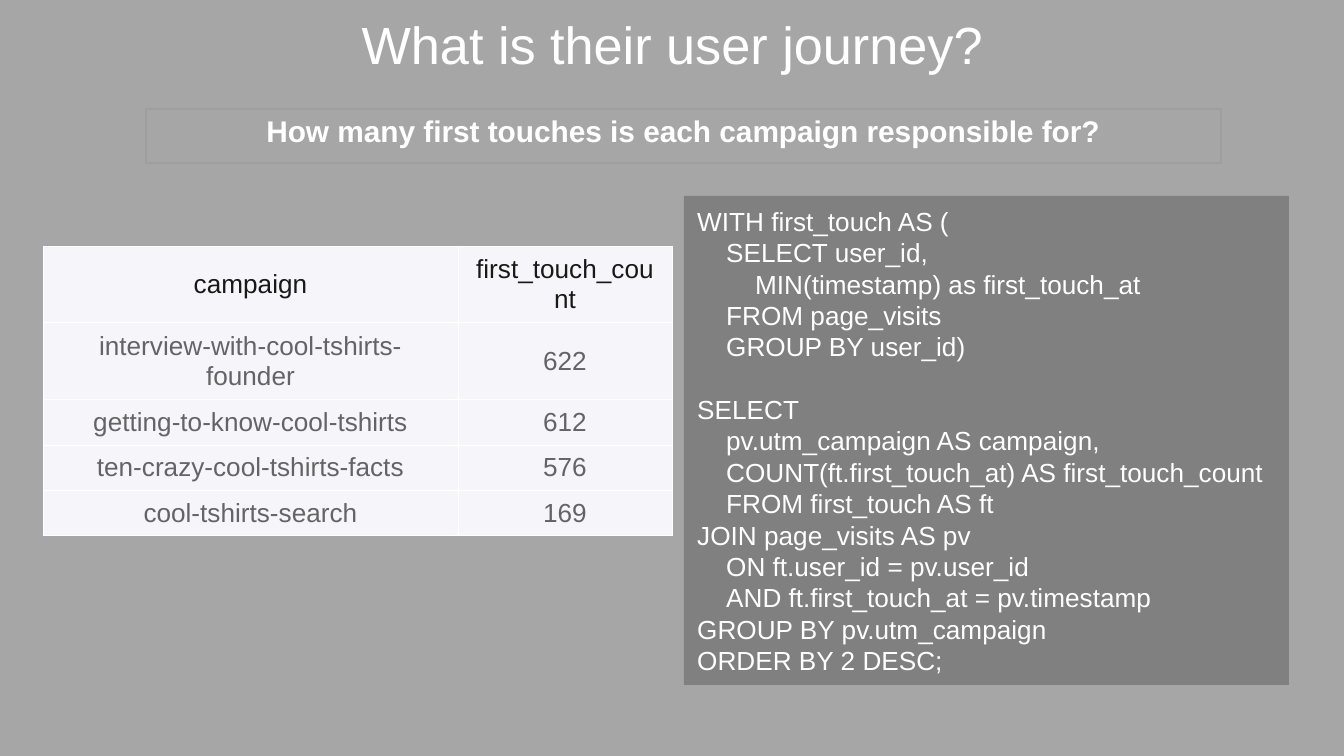
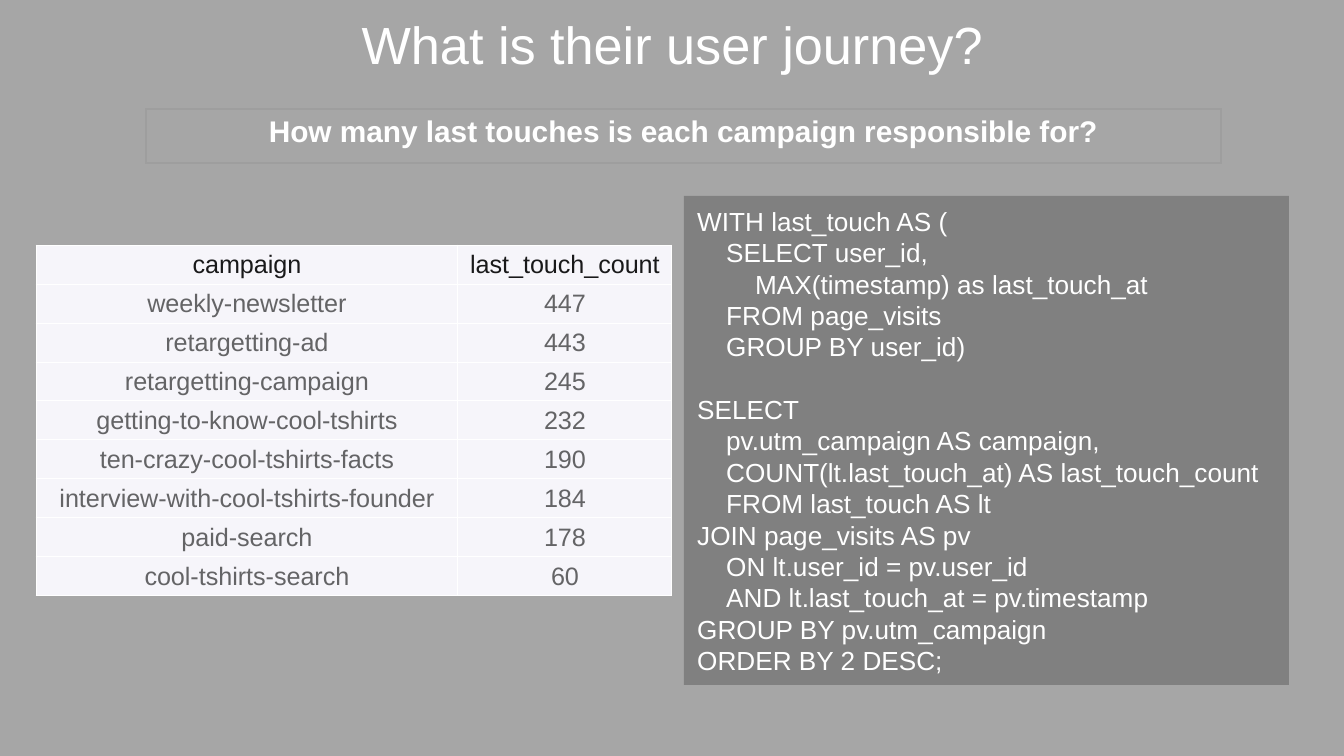
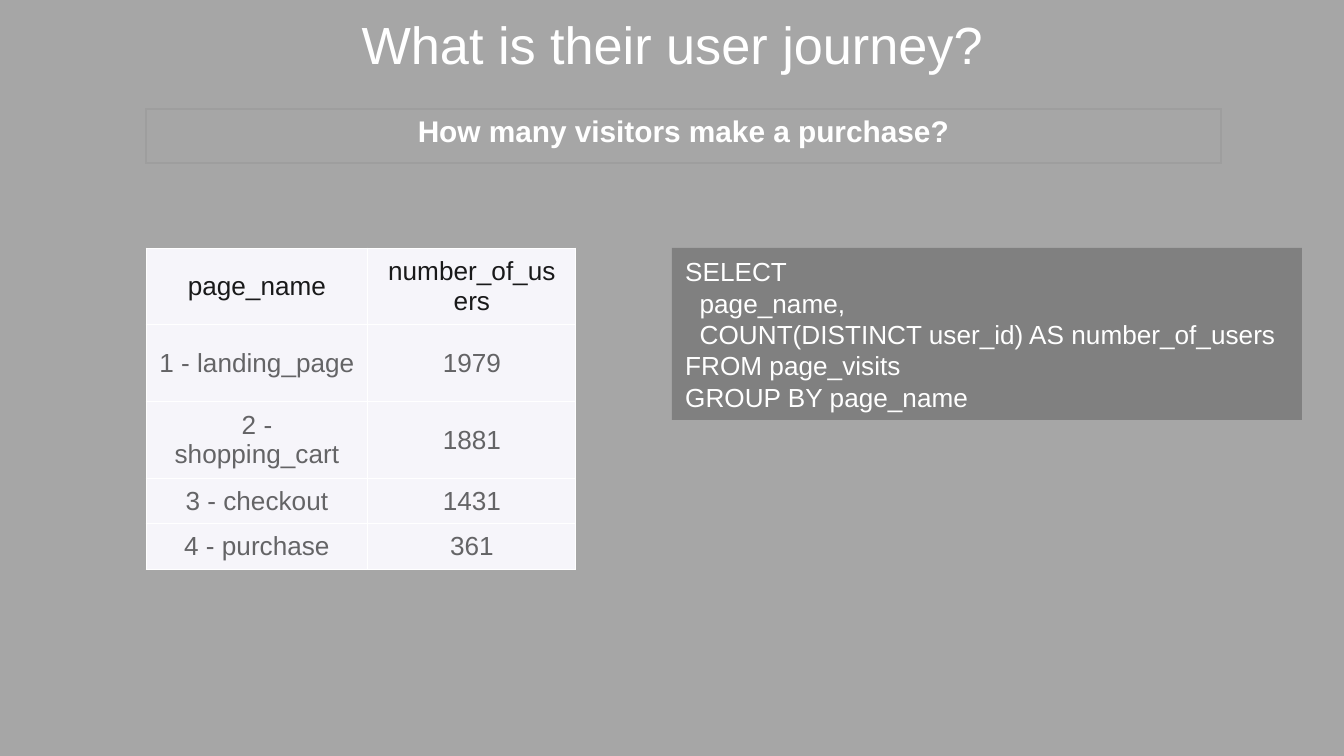
from dataclasses import dataclass

import lxml.etree
import pptx
import pptx.dml.color
import pptx.enum.shapes
import pptx.enum.text
import pptx.oxml.ns
import pptx.util

Align = pptx.enum.text.PP_ALIGN
Anchor = pptx.enum.text.MSO_ANCHOR
qn = pptx.oxml.ns.qn


# Theme: colours, type sizes and shared wording
@dataclass(frozen=True)
class Theme:
    font: str = "Arial"
    back: str = "A6A6A6"
    light: str = "FFFFFF"
    panel: str = "808080"
    cell: str = "F6F5FA"
    head: str = "19191A"
    body: str = "646466"
    frame: str = "9E9E9E"
    title: float = 28
    ask: float = 16
    code: float = 14
    pitch: float = 16.8
    heading: str = "What is their user journey?"


THEME = Theme()


# Lengths are pixels, 134.4 to the inch
def px(count: float) -> int:
    return round(count * 914400 / 134.4)


@dataclass(frozen=True)
class Box:
    left: int
    top: int
    width: int
    height: int

    def emu(self) -> tuple[int, ...]:
        return tuple(px(n) for n in (self.left, self.top, self.width, self.height))


@dataclass(frozen=True)
class Grid:
    left: int
    top: int
    cols: tuple[int, ...]
    rows: tuple[int, ...]
    cells: tuple[tuple[str, ...], ...]
    size: float = 14
    inset: tuple[int, int] = (13, 7)


@dataclass(frozen=True)
class Page:
    ask: str
    grid: Grid
    box: Box
    code: str


def color(code: str) -> pptx.dml.color.RGBColor:
    return pptx.dml.color.RGBColor.from_string(code)


def write(frame, text: str, *, size: float, ink: str = THEME.light,
          bold: bool = False, align=Align.CENTER, pitch: float = 0) -> None:
    """Leading spaces become an indent; an empty line becomes space before."""
    frame.word_wrap = True
    para, gap = None, 0
    for line in text.splitlines():
        if not line:
            gap = pitch
            continue
        para = frame.add_paragraph() if para else frame.paragraphs[0]
        para.alignment = align
        if pitch:
            para.line_spacing = pptx.util.Pt(pitch)
        if gap:
            para.space_before = pptx.util.Pt(gap)
            gap = 0
        words = line.lstrip()
        depth = len(line) - len(words)
        if depth:
            props = para._p.get_or_add_pPr()
            props.set("marL", str(px(depth * 29 / 4)))
            props.set("indent", "0")
        run = para.add_run()
        run.text = words
        run.font.name = THEME.font
        run.font.size = pptx.util.Pt(size)
        run.font.bold = bold
        run.font.color.rgb = color(ink)


def border(cell, ink: str, width: float) -> None:
    props = cell._tc.get_or_add_tcPr()
    for i, side in enumerate(("lnL", "lnR", "lnT", "lnB")):
        line = lxml.etree.Element(qn(f"a:{side}"), w=str(pptx.util.Pt(width)))
        fill = lxml.etree.SubElement(line, qn("a:solidFill"))
        lxml.etree.SubElement(fill, qn("a:srgbClr"), val=ink)
        props.insert(i, line)


def table(slide, grid: Grid):
    box = Box(grid.left, grid.top, sum(grid.cols), sum(grid.rows))
    made = slide.shapes.add_table(len(grid.rows), len(grid.cols), *box.emu()).table
    made.first_row = made.horz_banding = False
    for col, width in zip(made.columns, grid.cols):
        col.width = px(width)
    for row, height in zip(made.rows, grid.rows):
        row.height = px(height)
    return made


# Parts of a page
def title(slide) -> None:
    frame = slide.shapes.add_textbox(*Box(271, 0, 802, 77).emu()).text_frame
    frame.margin_top = px(12)
    write(frame, THEME.heading, size=THEME.title)


def band(slide, ask: str) -> None:
    cell = table(slide, Grid(146, 109, (1075,), (54,), ((ask,),))).cell(0, 0)
    cell.fill.background()
    border(cell, THEME.frame, 0.75)
    write(cell.text_frame, ask, size=THEME.ask, bold=True)


def data(slide, grid: Grid) -> None:
    made = table(slide, grid)
    side, edge = (px(n) for n in grid.inset)
    for r, row in enumerate(grid.cells):
        for c, text in enumerate(row):
            cell = made.cell(r, c)
            cell.margin_left = cell.margin_right = side
            cell.margin_top = cell.margin_bottom = edge
            cell.vertical_anchor = Anchor.MIDDLE
            cell.fill.solid()
            cell.fill.fore_color.rgb = color(THEME.cell)
            border(cell, THEME.light, 0.6)
            write(cell.text_frame, text, size=grid.size,
                  ink=THEME.body if r else THEME.head)


def panel(slide, box: Box, code: str) -> None:
    kind = pptx.enum.shapes.MSO_SHAPE.RECTANGLE
    shape = slide.shapes.add_shape(kind, *box.emu())
    shape.shadow.inherit = False
    shape.fill.solid()
    shape.fill.fore_color.rgb = color(THEME.panel)
    shape.line.fill.background()
    shape.text_frame.vertical_anchor = Anchor.MIDDLE
    write(shape.text_frame, code, size=THEME.code, align=Align.LEFT,
          pitch=THEME.pitch)


# Content
def query(touch: str, short: str, pick: str) -> str:
    return f"""WITH {touch}_touch AS (
    SELECT user_id,
        {pick}(timestamp) as {touch}_touch_at
    FROM page_visits
    GROUP BY user_id)

SELECT
    pv.utm_campaign AS campaign,
    COUNT({short}.{touch}_touch_at) AS {touch}_touch_count
    FROM {touch}_touch AS {short}
JOIN page_visits AS pv
    ON {short}.user_id = pv.user_id
    AND {short}.{touch}_touch_at = pv.timestamp
GROUP BY pv.utm_campaign
ORDER BY 2 DESC;"""


BUYERS = """SELECT
  page_name,
  COUNT(DISTINCT user_id) AS number_of_users
FROM page_visits
GROUP BY page_name"""

TALL = Box(684, 196, 605, 489)

PAGES = (
    Page("How many first touches is each campaign responsible for?",
         Grid(43, 246, (415, 214), (76, 77, 45, 44, 45), (
             ("campaign", "first_touch_count"),
             ("interview-with-cool-tshirts-founder", "622"),
             ("getting-to-know-cool-tshirts", "612"),
             ("ten-crazy-cool-tshirts-facts", "576"),
             ("cool-tshirts-search", "169"))),
         TALL, query("first", "ft", "MIN")),
    Page("How many last touches is each campaign responsible for?",
         Grid(36, 245, (422, 214), (39,) * 9, (
             ("campaign", "last_touch_count"),
             ("weekly-newsletter", "447"),
             ("retargetting-ad", "443"),
             ("retargetting-campaign", "245"),
             ("getting-to-know-cool-tshirts", "232"),
             ("ten-crazy-cool-tshirts-facts", "190"),
             ("interview-with-cool-tshirts-founder", "184"),
             ("paid-search", "178"),
             ("cool-tshirts-search", "60")), size=13.5, inset=(9, 4)),
         TALL, query("last", "lt", "MAX")),
    Page("How many visitors make a purchase?",
         Grid(146, 248, (222, 208), (76, 77, 76, 45, 45), (
             ("page_name", "number_of_users"),
             ("1 - landing_page", "1979"),
             ("2 - shopping_cart", "1881"),
             ("3 - checkout", "1431"),
             ("4 - purchase", "361"))),
         Box(672, 248, 630, 172), BUYERS),
)


# Build
deck = pptx.Presentation()
deck.slide_width, deck.slide_height = px(1344), px(756)
for page in PAGES:
    slide = deck.slides.add_slide(deck.slide_layouts[6])
    slide.background.fill.solid()
    slide.background.fill.fore_color.rgb = color(THEME.back)
    title(slide)
    band(slide, page.ask)
    data(slide, page.grid)
    panel(slide, page.box, page.code)
deck.save("out.pptx")
